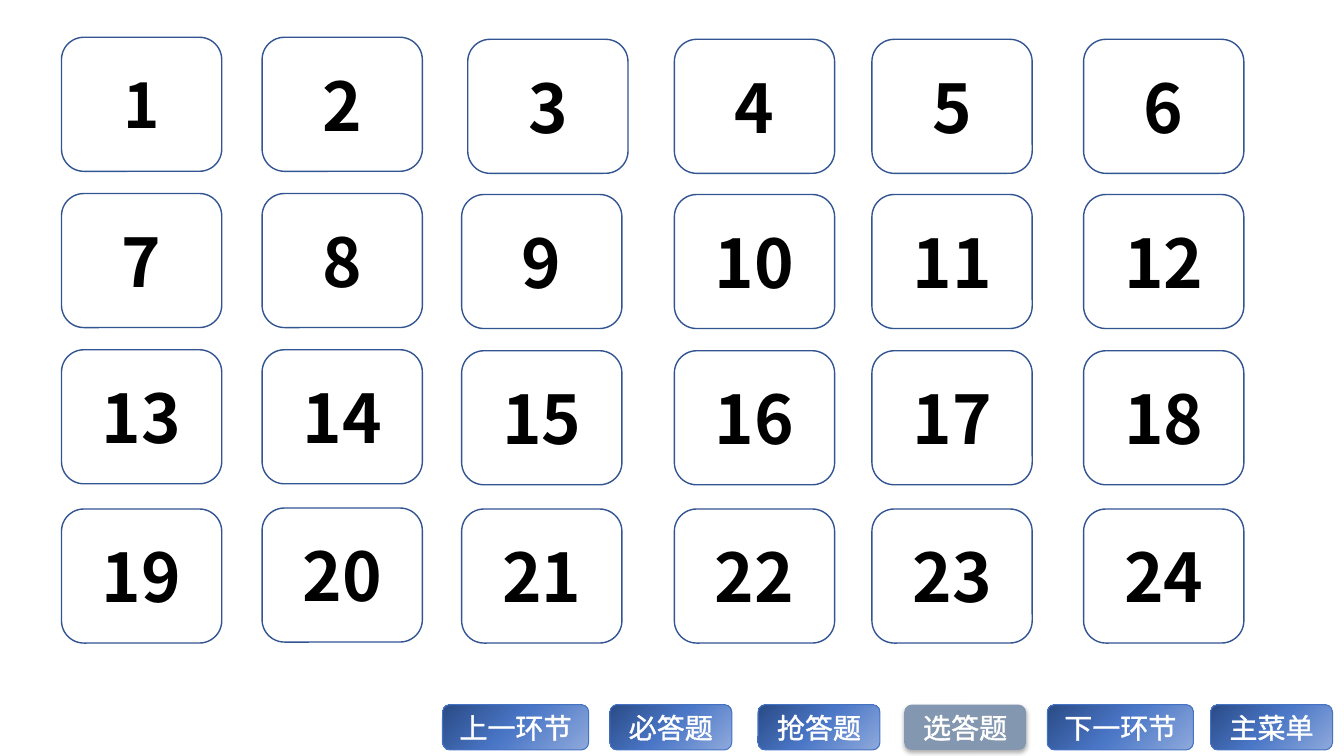
from dataclasses import dataclass

from lxml.etree import SubElement
from pptx import Presentation
from pptx.dml.color import RGBColor
from pptx.enum.shapes import MSO_SHAPE
from pptx.enum.text import MSO_ANCHOR, PP_ALIGN
from pptx.oxml import parse_xml
from pptx.oxml.ns import nsdecls, qn
from pptx.shapes.autoshape import Shape
from pptx.slide import Slide
from pptx.util import Emu, Pt

PX = 9144  # EMU per px, 100 px to the inch
FONT = "Noto Sans CJK SC"
COLORS = {
    "white": "FFFFFF",
    "black": "000000",
    "card_line": "325491",
    "button_line": "4472C4",
    "button_dark": "2A4B86",
    "button_mid": "4A76C6",
    "button_light": "8FAADC",
    "selected": "8497B0",
}
CARD_FONT = {"size": Pt(48), "bold": True, "name": FONT}
BUTTON_FONT = {"size": Pt(20), "bold": False, "name": FONT}

# Number cards
CARD_WIDTH, CARD_HEIGHT = 159, 133
COLUMN_LEFTS = (61, 260, 458, 669, 865, 1075)
ROW_TOPS = ((37, 39), (192, 193), (347, 348), (504, 505))  # first two columns, others
NUDGES = {3: (6, 0), 19: (0, 1)}

# Navigation buttons
BUTTON_TOP, BUTTON_HEIGHT = 699, 45
GRADIENT_STOPS = ((0, "button_dark"), (48, "button_mid"), (100, "button_light"))


@dataclass(frozen=True)
class Button:
    label: str
    left: int
    width: int = 121
    selected: bool = False


BUTTONS = (
    Button("上一环节", 439, 145),
    Button("必答题", 605),
    Button("抢答题", 752),
    Button("选答题", 897, selected=True),
    Button("下一环节", 1039, 145),
    Button("主菜单", 1201),
)


def rgb(name: str) -> RGBColor:
    return RGBColor.from_string(COLORS[name])


def add_box(slide: Slide, left: int, top: int, width: int, height: int,
            text: str, color: str, font_format: dict) -> Shape:
    """Add a rounded rectangle with one centred line of text."""
    shape = slide.shapes.add_shape(
        MSO_SHAPE.ROUNDED_RECTANGLE, *(Emu(n * PX) for n in (left, top, width, height)))
    shape.shadow.inherit = False
    shape.text_frame.vertical_anchor = MSO_ANCHOR.MIDDLE
    paragraph = shape.text_frame.paragraphs[0]
    paragraph.alignment = PP_ALIGN.CENTER
    run = paragraph.add_run()
    run.text = text
    for attribute, value in font_format.items():
        setattr(run.font, attribute, value)
    run.font.color.rgb = rgb(color)
    SubElement(run.font._element, qn("a:ea"), typeface=FONT)
    return shape


def set_line(shape: Shape, color: str, width: float) -> None:
    shape.line.color.rgb = rgb(color)
    shape.line.width = Pt(width)


def set_gradient(shape: Shape) -> None:
    """Fill with a round gradient that spreads from the top left corner."""
    stops = "".join(
        f'<a:gs pos="{position * 1000}"><a:srgbClr val="{COLORS[color]}"/></a:gs>'
        for position, color in GRADIENT_STOPS)
    gradient = parse_xml(
        f'<a:gradFill {nsdecls("a")} rotWithShape="1"><a:gsLst>{stops}</a:gsLst>'
        '<a:path path="circle"><a:fillToRect r="100000" b="100000"/></a:path></a:gradFill>')
    shape.fill.background()
    properties = shape._element.spPr
    properties.replace(properties.find(qn("a:noFill")), gradient)


def set_shadow(shape: Shape) -> None:
    effects = shape._element.spPr.find(qn("a:effectLst"))
    effects.append(parse_xml(
        f'<a:outerShdw {nsdecls("a")} blurRad="{Pt(3.5)}" dist="{Pt(2.2)}" dir="5400000" '
        f'rotWithShape="0"><a:srgbClr val="{COLORS["black"]}"><a:alpha val="32000"/>'
        '</a:srgbClr></a:outerShdw>'))


def outline_text(shape: Shape) -> None:
    run = shape.text_frame.paragraphs[0].runs[0]
    run.font._element.insert(0, parse_xml(
        f'<a:ln {nsdecls("a")} w="{Pt(0.75)}"><a:solidFill>'
        f'<a:srgbClr val="{COLORS["white"]}"/></a:solidFill></a:ln>'))


def add_card(slide: Slide, number: int) -> None:
    row, column = divmod(number - 1, len(COLUMN_LEFTS))
    shift_x, shift_y = NUDGES.get(number, (0, 0))
    left = COLUMN_LEFTS[column] + shift_x
    top = ROW_TOPS[row][column > 1] + shift_y
    font_format = CARD_FONT | ({"size": Pt(44)} if number == 1 else {})
    card = add_box(slide, left, top, CARD_WIDTH, CARD_HEIGHT, str(number), "black", font_format)
    card.fill.solid()
    card.fill.fore_color.rgb = rgb("white")
    fill_color = card._element.spPr.find(qn("a:solidFill"))[0]
    SubElement(fill_color, qn("a:alpha"), val="73000")
    set_line(card, "card_line", 1)


def add_button(slide: Slide, button: Button) -> None:
    shape = add_box(slide, button.left, BUTTON_TOP, button.width, BUTTON_HEIGHT,
                    button.label, "white", BUTTON_FONT)
    shape.text_frame.word_wrap = False
    outline_text(shape)
    if button.selected:
        shape.fill.solid()
        shape.fill.fore_color.rgb = rgb("selected")
        shape.line.fill.background()
        set_shadow(shape)
    else:
        set_gradient(shape)
        set_line(shape, "button_line", 0.75)


def main() -> None:
    presentation = Presentation()
    presentation.slide_width = Emu(12192000)
    presentation.slide_height = Emu(750 * PX)
    slide = presentation.slides.add_slide(presentation.slide_layouts[6])
    for button in BUTTONS:
        add_button(slide, button)
    for number in range(1, len(ROW_TOPS) * len(COLUMN_LEFTS) + 1):
        add_card(slide, number)
    presentation.save("out.pptx")


if __name__ == "__main__":
    main()
